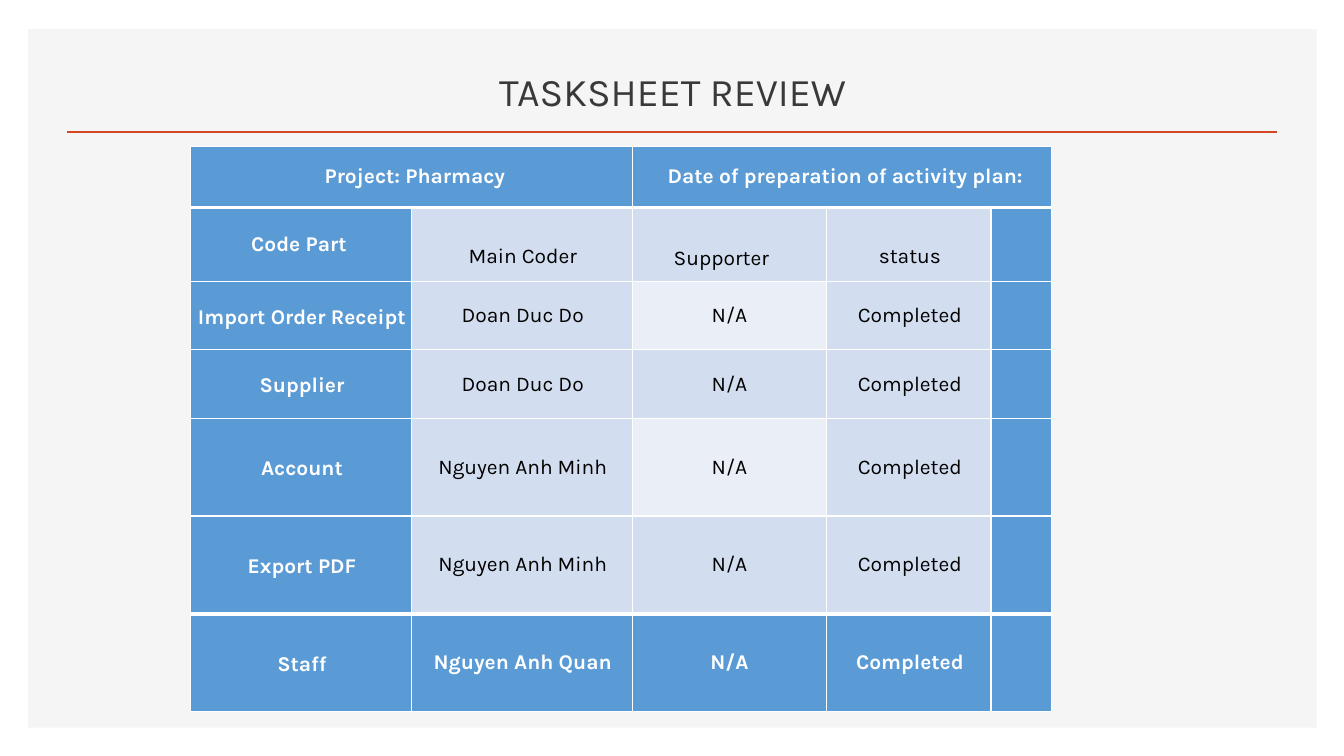
from lxml.etree import SubElement
from pptx import Presentation
from pptx.dml.color import RGBColor
from pptx.enum.shapes import MSO_CONNECTOR, MSO_SHAPE
from pptx.enum.text import MSO_ANCHOR, PP_ALIGN
from pptx.oxml.ns import qn
from pptx.util import Inches, Pt

TITLE = "TASKSHEET REVIEW"
HEADS = [(0, 1, "Project: Pharmacy"), (2, 4, "Date of preparation of activity plan:")]
ROWS = [
    ("Code Part", "Main Coder", "Supporter", "status"),
    ("Import Order Receipt", "Doan Duc Do", "N/A", "Completed"),
    ("Supplier", "Doan Duc Do", "N/A", "Completed"),
    ("Account", "Nguyen Anh Minh", "N/A", "Completed"),
    ("Export PDF", "Nguyen Anh Minh", "N/A", "Completed"),
    ("Staff", "Nguyen Anh Quan", "N/A", "Completed"),
]
WIDTHS = [2.19, 2.19, 1.93, 1.63, 0.6]
HEIGHTS = [0.61, 0.73, 0.68, 0.68, 0.97, 0.97, 0.97]
LAST = len(HEIGHTS) - 1
LOW = {1: 0.24, 2: 0.28, 3: 0.24}
FONT = "Karla"

WHITE = RGBColor(0xFF, 0xFF, 0xFF)
BLACK = RGBColor(0, 0, 0)
GREY = RGBColor(0xF5, 0xF5, 0xF5)
DARK = RGBColor(0x3B, 0x38, 0x38)
RED = RGBColor(0xD2, 0x47, 0x26)
BLUE = RGBColor(0x5B, 0x9B, 0xD5)
LIGHT = RGBColor(0xD2, 0xDE, 0xEF)
PALE = RGBColor(0xEA, 0xEF, 0xF7)


def write(frame, text, size, color, bold=False, space=None):
    para = frame.paragraphs[0]
    para.alignment = PP_ALIGN.CENTER
    if space:
        para.line_spacing = space
    run = para.add_run()
    run.text = text
    font = run.font
    font.name, font.size, font.bold = FONT, Pt(size), bold
    font.color.rgb = color


def border(cell, top, bottom):
    props = cell._tc.get_or_add_tcPr()
    for side, width in zip("LRTB", (1, 1, top, bottom)):
        line = SubElement(props, qn("a:ln" + side), w=str(Pt(width)))
        fill = SubElement(line, qn("a:solidFill"))
        SubElement(fill, qn("a:srgbClr"), val=str(WHITE))


def shade(row, col):
    if row in (0, LAST) or col in (0, 4):
        return BLUE
    return PALE if col == 2 and row % 2 == 0 else LIGHT


def pad(cell, left=0, top=0, right=0):
    cell.margin_left, cell.margin_top = Inches(left), Inches(top)
    cell.margin_right, cell.margin_bottom = Inches(right), 0
    cell.vertical_anchor = MSO_ANCHOR.MIDDLE


def build():
    deck = Presentation()
    deck.slide_width, deck.slide_height = Inches(13.33), Inches(7.5)
    slide = deck.slides.add_slide(deck.slide_layouts[6])
    shapes = slide.shapes

    panel = shapes.add_shape(MSO_SHAPE.RECTANGLE, Inches(0.28), Inches(0.29),
                             Inches(12.78), Inches(6.93))
    panel.shadow.inherit = False
    panel.fill.solid()
    panel.fill.fore_color.rgb = GREY
    panel.line.fill.background()

    rule = shapes.add_connector(MSO_CONNECTOR.STRAIGHT, Inches(0.66), Inches(1.31),
                                Inches(12.67), Inches(1.31))
    rule.line.color.rgb = RED
    rule.line.width = Pt(2)
    SubElement(rule._element.spPr, qn("a:effectLst"))

    title = shapes.add_textbox(Inches(2.91), Inches(0.49), Inches(7.52), Inches(0.7))
    title.text_frame.word_wrap = True
    title.text_frame.vertical_anchor = MSO_ANCHOR.BOTTOM
    write(title.text_frame, TITLE, 28, DARK, space=0.9)

    table = shapes.add_table(len(HEIGHTS), len(WIDTHS), Inches(1.89), Inches(1.45),
                             Inches(sum(WIDTHS)), Inches(sum(HEIGHTS))).table
    table.first_row = table.horz_banding = False
    for col, width in zip(table.columns, WIDTHS):
        col.width = Inches(width)
    for row, height in zip(table.rows, HEIGHTS):
        row.height = Inches(height)

    for row in range(len(HEIGHTS)):
        for col in range(len(WIDTHS)):
            cell = table.cell(row, col)
            border(cell, 3 if row in (1, LAST) else 1, 3 if row in (0, LAST - 1) else 1)
            cell.fill.solid()
            cell.fill.fore_color.rgb = shade(row, col)

    for start, end, text in HEADS:
        cell = table.cell(0, start)
        cell.merge(table.cell(0, end))
        pad(cell, left=0.07)
        write(cell.text_frame, text, 15, WHITE, True)

    for row, texts in enumerate(ROWS, 1):
        for col, text in enumerate(texts):
            cell = table.cell(row, col)
            bold = shade(row, col) == BLUE
            if row == 1:
                pad(cell, 0.02, LOW.get(col, 0), {0: 0.06, 2: 0.18}.get(col, 0))
            else:
                pad(cell, 0 if col == 2 else 0.02)
            write(cell.text_frame, text, 15, WHITE if bold else BLACK, bold,
                  1.15 if col == 0 and row > 1 else None)
    deck.save("out.pptx")


if __name__ == "__main__":
    build()
